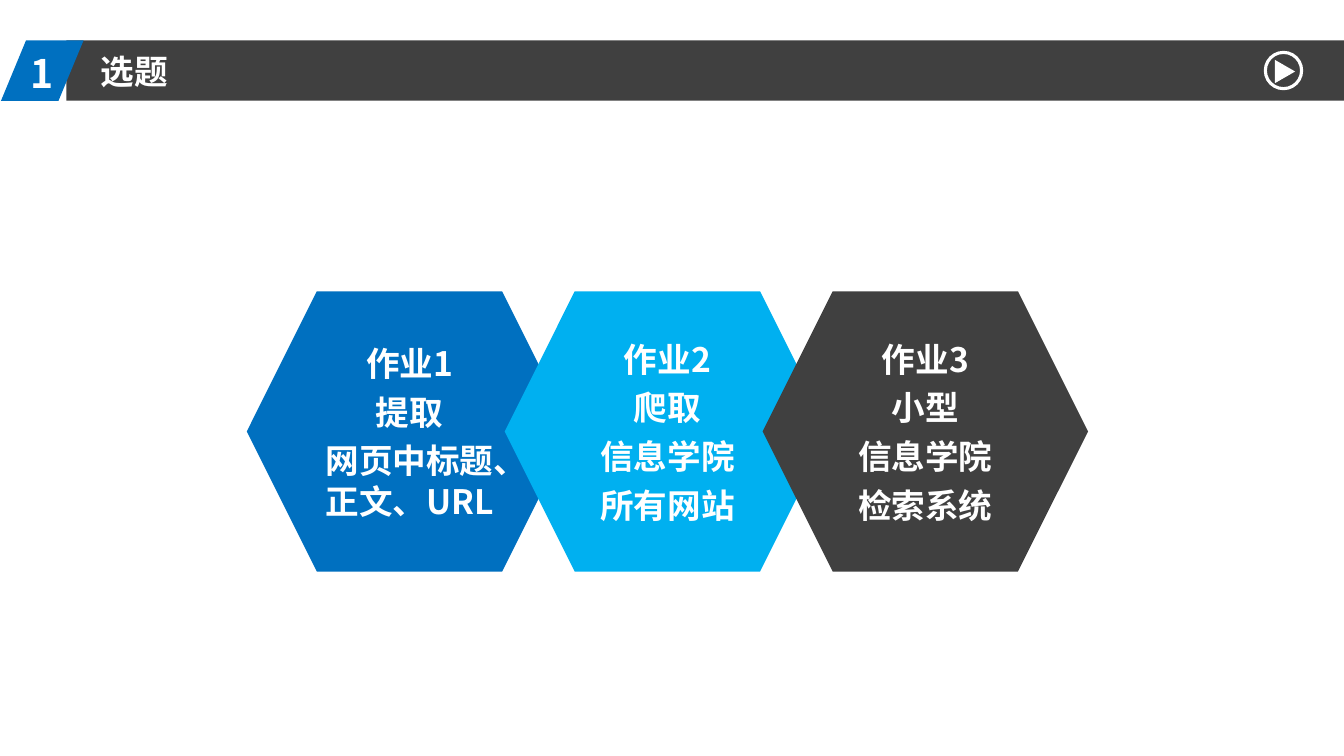
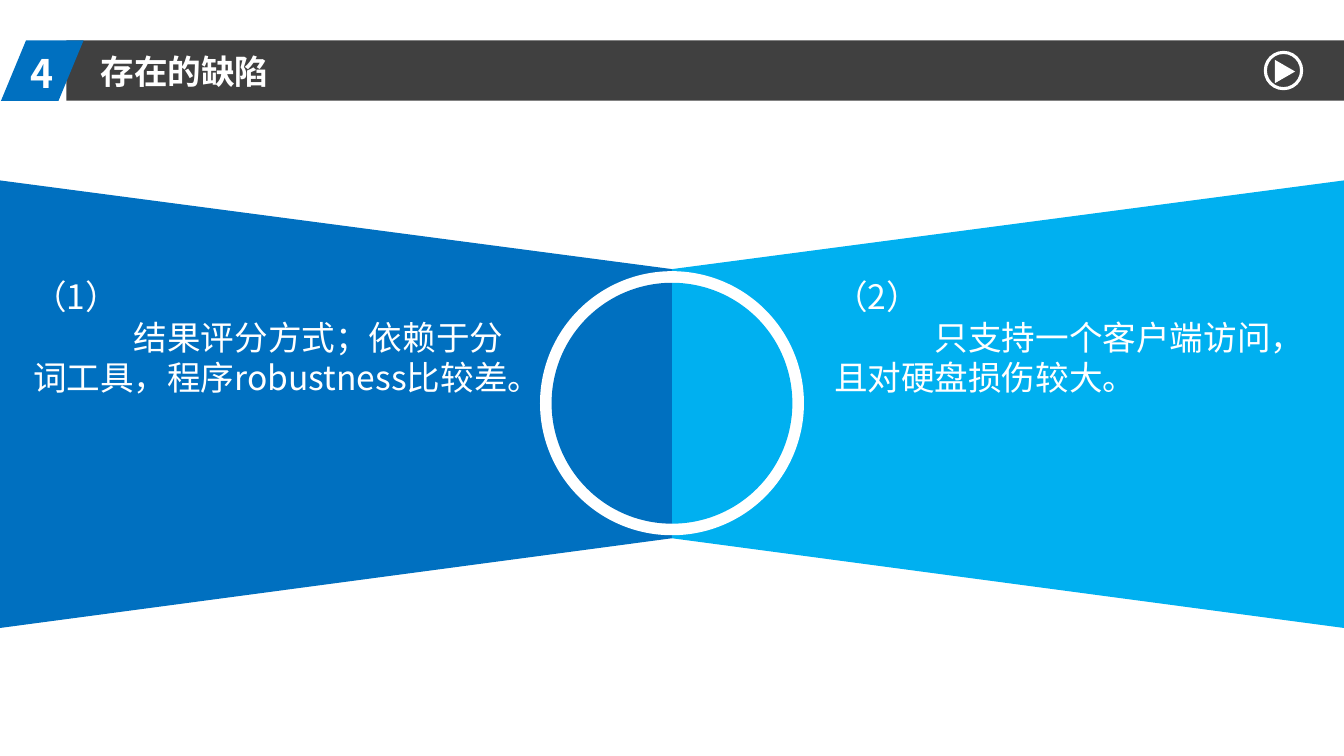
"""Build two slides: the choice of topics and the remaining defects."""
from dataclasses import dataclass

from lxml import etree
from pptx import Presentation
from pptx.dml.color import RGBColor
from pptx.enum.shapes import MSO_SHAPE
from pptx.enum.text import MSO_AUTO_SIZE, PP_ALIGN
from pptx.oxml.ns import qn
from pptx.shapes.autoshape import Shape
from pptx.slide import Slide
from pptx.text.text import _Paragraph
from pptx.util import Inches, Pt

RECTANGLE = MSO_SHAPE.RECTANGLE
PARALLELOGRAM = MSO_SHAPE.PARALLELOGRAM
ELLIPSE = MSO_SHAPE.OVAL
TRIANGLE = MSO_SHAPE.ISOSCELES_TRIANGLE
HEXAGON = MSO_SHAPE.HEXAGON
CHORD = MSO_SHAPE.CHORD
GROW = MSO_AUTO_SIZE.SHAPE_TO_FIT_TEXT
CENTER = PP_ALIGN.CENTER

FONT = "Noto Sans CJK SC"
BLUE, CYAN, DARK, WHITE = "0070C0", "00B0F0", "404040", "FFFFFF"
SLIDE_WIDTH, SLIDE_HEIGHT = 13.34, 7.5
MIDDLE = SLIDE_WIDTH / 2
BAND_TOP, BAND_HEIGHT = 0.4, 0.6
HEXAGON_LEFT, HEXAGON_TOP, HEXAGON_PITCH = 2.45, 2.89, 2.56
HEXAGON_SIZE = (3.23, 2.78)
RING_CENTER = 4.0
UP, DOWN = 162.0, 54.0

Box = tuple[float, float, float, float]


@dataclass(frozen=True)
class Assignment:
    """A hexagon with its lines of text."""
    lines: list[str]
    color: str
    text_top: float = 3.36


@dataclass(frozen=True)
class Defect:
    """One wing of the bow tie, its half disc and its text."""
    number: str
    description: str
    color: str
    edge: float
    chord: tuple[float, float]
    text_box: Box


ASSIGNMENTS = [
    Assignment(["作业1", "提取", "网页中标题、正文、URL"], BLUE, 3.4),
    Assignment(["作业2", "爬取", "信息学院", "所有网站"], CYAN),
    Assignment(["作业3", "小型", "信息学院", "检索系统"], DARK),
]
DEFECTS = [
    Defect("（1）", "结果评分方式；依赖于分词工具，程序robustness比较差。",
           BLUE, 0, (DOWN, UP), (0.23, 2.69, 5.01, 1.7)),
    Defect("（2）", "只支持一个客户端访问，且对硬盘损伤较大。",
           CYAN, SLIDE_WIDTH, (UP, DOWN), (8.18, 2.69, 4.72, 1.3)),
]


def rgb(color: str) -> RGBColor:
    """Turn a hex string into a colour."""
    return RGBColor.from_string(color)


def paint(shape: Shape, fill: str | None) -> None:
    """Fill a shape flatly, or leave it hollow, without line or shadow."""
    shape.shadow.inherit = False
    shape.line.fill.background()
    if fill:
        shape.fill.solid()
        shape.fill.fore_color.rgb = rgb(fill)
    else:
        shape.fill.background()


def add_preset(slide: Slide, preset: MSO_SHAPE, box: Box, fill: str | None,
               adjustments: tuple[float, ...] = ()) -> Shape:
    """Add a preset shape with a flat fill."""
    shape = slide.shapes.add_shape(preset, *map(Inches, box))
    paint(shape, fill)
    for index, value in enumerate(adjustments):
        shape.adjustments[index] = value
    return shape


def add_disc(slide: Slide, preset: MSO_SHAPE, diameter: float, fill: str,
             adjustments: tuple[float, ...] = ()) -> None:
    """Add a round shape around the middle of the bow tie."""
    radius = diameter / 2
    box = (MIDDLE - radius, RING_CENTER - radius, diameter, diameter)
    add_preset(slide, preset, box, fill, adjustments)


def add_text(slide: Slide, box: Box, lines: list[str], size: float = 24,
             bold: bool = True, wrap: bool = True,
             margins: bool = True) -> list[_Paragraph]:
    """Add white text, one paragraph a line, and return the paragraphs."""
    frame = slide.shapes.add_textbox(*map(Inches, box)).text_frame
    frame.word_wrap = wrap
    frame.auto_size = GROW
    if not margins:
        frame.margin_left = frame.margin_right = Inches(0)
        frame.margin_top = frame.margin_bottom = Inches(0)
    frame.text = "\n".join(lines)
    for paragraph in frame.paragraphs:
        font = paragraph.font
        font.size = Pt(size)
        font.bold = bold
        font.color.rgb = rgb(WHITE)
        font.name = FONT
        etree.SubElement(font._element, qn("a:ea"), typeface=FONT)
    return list(frame.paragraphs)


def add_header(slide: Slide, number: str, title: str) -> None:
    """Add the title band with its number and play button."""
    add_preset(slide, RECTANGLE,
               (0.66, BAND_TOP, SLIDE_WIDTH - 0.66, BAND_HEIGHT), DARK)
    add_preset(slide, PARALLELOGRAM, (0.01, BAND_TOP, 0.82, BAND_HEIGHT),
               BLUE, (0.415,))
    add_text(slide, (0.2, 0.44, 0.69, 0.57), [number], size=28)
    add_text(slide, (0.9, 0.46, 0.36 + len(title) * 0.33, 0.5), [title],
             wrap=False)
    button = add_preset(slide, ELLIPSE, (12.56, 0.52, 0.36, 0.36), None)
    button.line.color.rgb = rgb(WHITE)
    button.line.width = Pt(2.25)
    arrow = add_preset(slide, TRIANGLE, (12.64, 0.61, 0.23, 0.2), WHITE)
    arrow.rotation = 90


def build_topics(slide: Slide) -> None:
    """Draw the row of overlapping hexagons and their texts."""
    lefts = [HEXAGON_LEFT + i * HEXAGON_PITCH for i in range(len(ASSIGNMENTS))]
    for left, assignment in zip(lefts, ASSIGNMENTS):
        add_preset(slide, HEXAGON, (left, HEXAGON_TOP, *HEXAGON_SIZE),
                   assignment.color)
    for left, assignment in zip(lefts, ASSIGNMENTS):
        box = (left + 0.74, assignment.text_top, 1.75, 1.85)
        for paragraph in add_text(slide, box, assignment.lines, margins=False):
            paragraph.alignment = CENTER
            paragraph.space_before = Pt(6)


def add_wing(slide: Slide, defect: Defect) -> None:
    """Draw a wing that narrows from the slide edge to the middle."""
    corners = [(defect.edge, 1.79), (MIDDLE, 2.67), (MIDDLE, 5.34),
               (defect.edge, 6.23)]
    start, *others = [(Inches(x), Inches(y)) for x, y in corners]
    builder = slide.shapes.build_freeform(*start, scale=1.0)
    builder.add_line_segments(others, close=True)
    paint(builder.convert_to_shape(), defect.color)


def build_defects(slide: Slide) -> None:
    """Draw the bow tie with its ring and the two texts."""
    for defect in DEFECTS:
        add_wing(slide, defect)
    add_disc(slide, ELLIPSE, 2.62, WHITE)
    for defect in DEFECTS:
        add_disc(slide, CHORD, 2.39, defect.color, defect.chord)
        _, description = add_text(slide, defect.text_box,
                                  [defect.number, defect.description],
                                  bold=False)
        description._p.get_or_add_pPr().set("indent", str(Inches(1)))


def main() -> None:
    """Build and save the presentation."""
    presentation = Presentation()
    presentation.slide_width = Inches(SLIDE_WIDTH)
    presentation.slide_height = Inches(SLIDE_HEIGHT)
    blank = presentation.slide_layouts[6]
    for number, title, build in [("1", "选题", build_topics),
                                 ("4", "存在的缺陷", build_defects)]:
        slide = presentation.slides.add_slide(blank)
        add_header(slide, number, title)
        build(slide)
    presentation.save("out.pptx")


if __name__ == "__main__":
    main()
